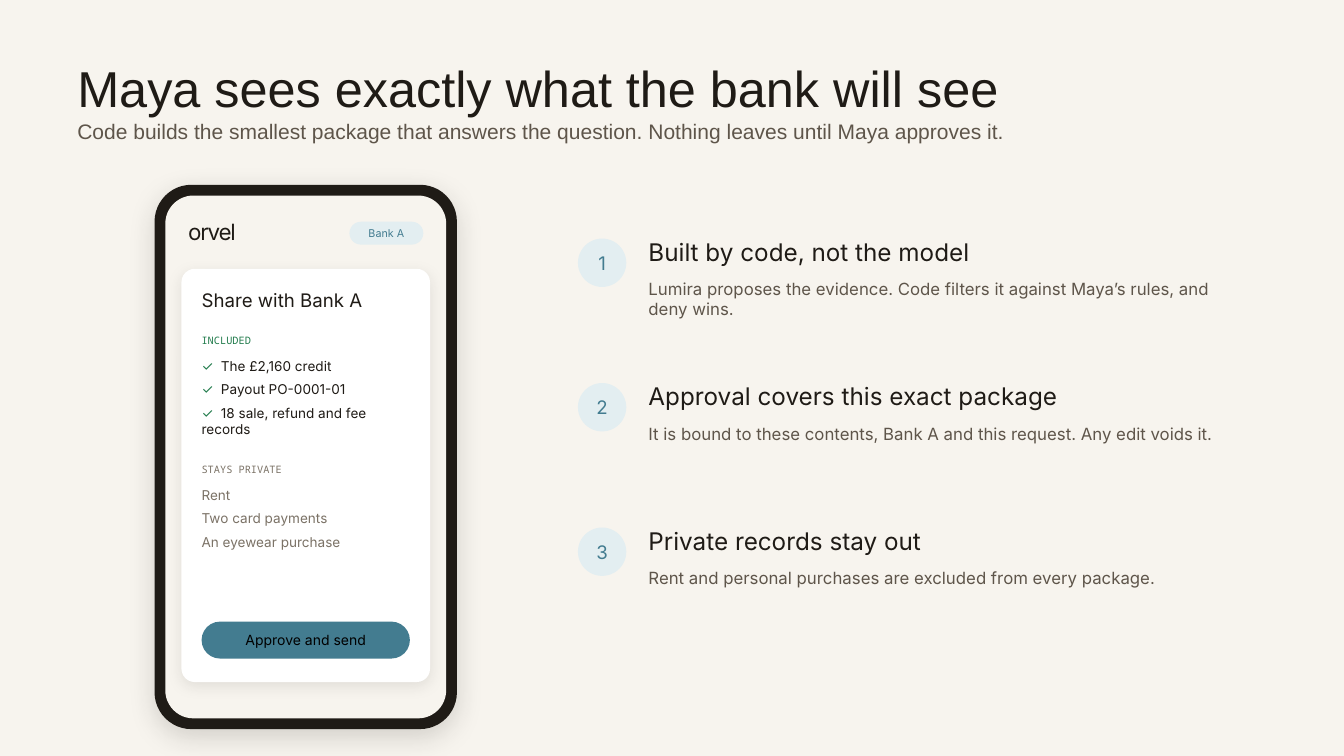
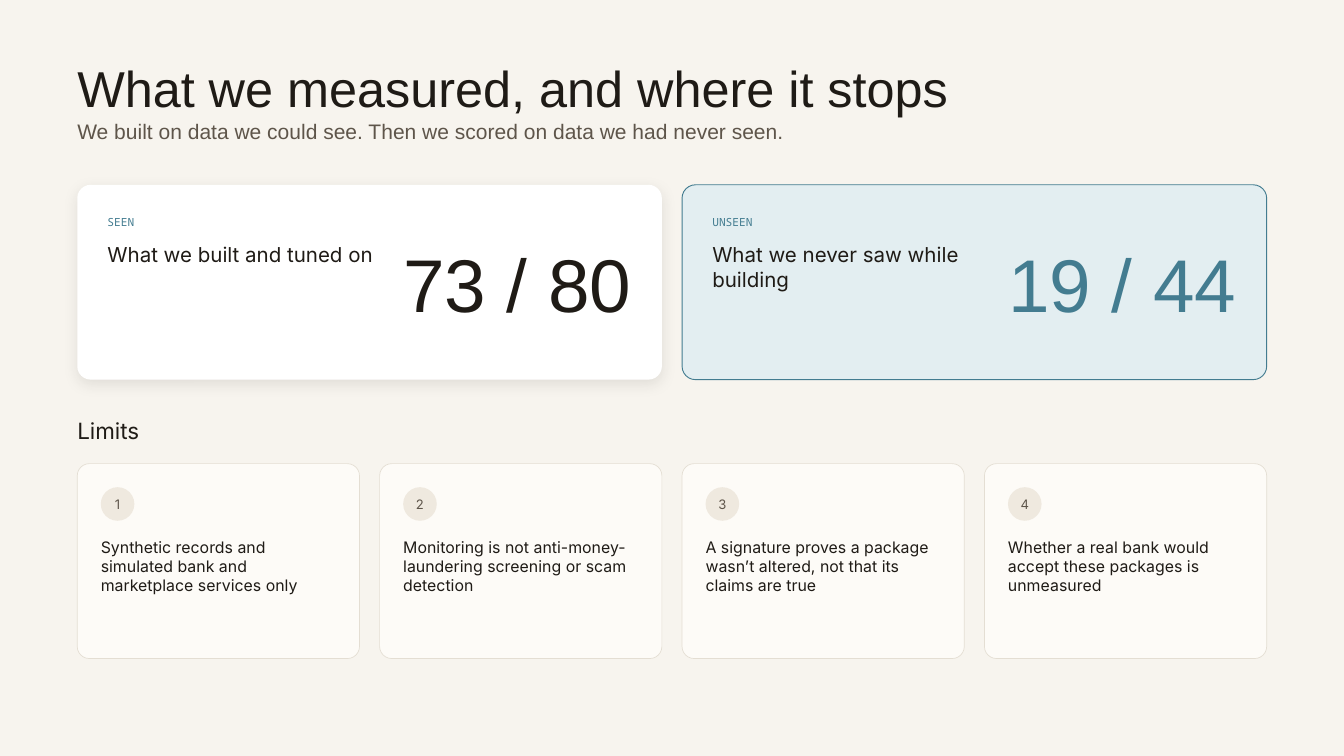
from lxml.etree import SubElement
from pptx import Presentation
from pptx.dml.color import RGBColor
from pptx.enum.shapes import MSO_SHAPE
from pptx.enum.text import MSO_ANCHOR, PP_ALIGN
from pptx.oxml.ns import qn
from pptx.util import Pt

# Content
APPROVAL = {
    "title": "Maya sees exactly what the bank will see",
    "subtitle": "Code builds the smallest package that answers the question. "
                "Nothing leaves until Maya approves it.",
    "app": "orvel",
    "recipient": "Bank A",
    "heading": "Share with Bank A",
    "included": ("INCLUDED", ["The £2,160 credit", "Payout PO-0001-01",
                              "18 sale, refund and fee records"]),
    "private": ("STAYS PRIVATE", ["Rent", "Two card payments", "An eyewear purchase"]),
    "button": "Approve and send",
    "reasons": [
        ("Built by code, not the model",
         "Lumira proposes the evidence. Code filters it against Maya’s rules, and deny wins."),
        ("Approval covers this exact package",
         "It is bound to these contents, Bank A and this request. Any edit voids it."),
        ("Private records stay out",
         "Rent and personal purchases are excluded from every package."),
    ],
}
RESULTS = {
    "title": "What we measured, and where it stops",
    "subtitle": "We built on data we could see. Then we scored on data we had never seen.",
    "scores": [
        ("SEEN", "What we built and tuned on", "73 / 80"),
        ("UNSEEN", "What we never saw while building", "19 / 44"),
    ],
    "limits_heading": "Limits",
    "limits": [
        "Synthetic records and simulated bank and marketplace services only",
        "Monitoring is not anti-money-laundering screening or scam detection",
        "A signature proves a package wasn’t altered, not that its claims are true",
        "Whether a real bank would accept these packages is unmeasured",
    ],
}


# Colours and type styles (font, size, colour)
class Theme:
    paper, card, white, black = "F7F4EE", "FDFBF7", "FFFFFF", "000000"
    ink, body, muted = "1F1B16", "5E554A", "7B7266"
    teal, ice, green = "437C90", "E3EEF1", "1F7A4A"
    border, sand = "E4DED3", "EFE9DF"
    sans, display, mono = "Inter", "Arial", "Noto Sans Mono"

    title = (display, 54, ink)
    subtitle = (display, 22.5, body)
    app = (sans, 24, ink)
    recipient = (sans, 11.5, teal)
    share_heading = (sans, 20, ink)
    included_label = (mono, 11, green)
    private_label = (mono, 11, muted)
    included_item = (sans, 14.5, ink)
    private_item = (sans, 14.5, muted)
    button = (sans, 15, black)
    reason_number = (sans, 20, teal)
    reason_heading = (sans, 26, ink)
    reason_text = (sans, 18, body)
    score_label = (mono, 12, teal)
    score_text = (sans, 22, ink)
    seen_score = (display, 80, ink)
    unseen_score = (display, 80, teal)
    limits_heading = (sans, 24, ink)
    limit_number = (sans, 14, body)
    limit_text = (sans, 17, ink)

    # Shadows: opacity %, blur, distance
    deep_shadow = (16, 28.8, 8.6)
    soft_shadow = (9, 15.8, 4.3)


# Shared layout, in points
SLIDE_W, SLIDE_H = 1440, 810
MARGIN, GAP = 82.8, 21.6
CONTENT_W = SLIDE_W - 2 * MARGIN
CONTENT_TOP = 198
CHECK_TAB = 20.8

FRAME = {"margin_left": 0, "margin_top": 0, "margin_right": 0, "margin_bottom": 0}


def apply(target, values):
    for key, value in values.items():
        setattr(target, key, value)


def points(box):
    return [Pt(length) for length in box]


def add_run(paragraph, words, style, colour=None):
    font_name, size, default_colour = style
    run = paragraph.add_run()
    run.text = words
    apply(run.font, {"name": font_name, "size": Pt(size)})
    run.font.color.rgb = RGBColor.from_string(colour or default_colour)
    return run


def write(frame, lines, style, wrap=True, anchor=MSO_ANCHOR.TOP,
          align=PP_ALIGN.LEFT, after=None, check=False):
    apply(frame, {**FRAME, "word_wrap": wrap, "vertical_anchor": anchor})
    for index, line in enumerate(lines):
        paragraph = frame.add_paragraph() if index else frame.paragraphs[0]
        paragraph.alignment = align
        if after:
            paragraph.space_after = Pt(after)
        if check:
            tabs = SubElement(paragraph._p.get_or_add_pPr(), qn("a:tabLst"))
            SubElement(tabs, qn("a:tab"), pos=str(int(Pt(CHECK_TAB))), algn="l")
            add_run(paragraph, "✓\t", style, Theme.green)
        run = add_run(paragraph, line, style)
    return run


def add_text(slide, box, lines, style, **options):
    lines = [lines] if isinstance(lines, str) else lines
    frame = slide.shapes.add_textbox(*points(box)).text_frame
    return write(frame, lines, style, **options)


def add_panel(slide, box, fill, corner=None, border=None, shadow=None, label=None):
    """Rounded panel, or an ellipse when no corner is given; label is (words, style)."""
    kind = MSO_SHAPE.OVAL if corner is None else MSO_SHAPE.ROUNDED_RECTANGLE
    panel = slide.shapes.add_shape(kind, *points(box))
    if corner is not None:
        panel.adjustments[0] = corner
    panel.fill.solid()
    panel.fill.fore_color.rgb = RGBColor.from_string(fill)
    if border:
        colour, width = border
        panel.line.color.rgb = RGBColor.from_string(colour)
        panel.line.width = Pt(width)
    else:
        panel.line.fill.background()
    panel.shadow.inherit = False
    if shadow:
        opacity, blur, distance = shadow
        effects = panel._element.spPr.find(qn("a:effectLst"))
        outer = SubElement(effects, qn("a:outerShdw"), blurRad=str(int(Pt(blur))),
                           dist=str(int(Pt(distance))), dir="5400000",
                           algn="ctr", rotWithShape="0")
        tint = SubElement(outer, qn("a:srgbClr"), val=Theme.ink)
        SubElement(tint, qn("a:alpha"), val=str(opacity * 1000))
    if label:
        words, style = label
        write(panel.text_frame, [words], style, wrap=False,
              anchor=MSO_ANCHOR.MIDDLE, align=PP_ALIGN.CENTER)


def columns(count):
    """Left edges and common width of equal columns across the content area."""
    width = (CONTENT_W - (count - 1) * GAP) / count
    return [MARGIN + i * (width + GAP) for i in range(count)], width


def start_slide(deck, content):
    slide = deck.slides.add_slide(deck.slide_layouts[6])
    slide.background.fill.solid()
    slide.background.fill.fore_color.rgb = RGBColor.from_string(Theme.paper)
    add_text(slide, (MARGIN, 61.2, CONTENT_W, 61.2), content["title"], Theme.title)
    add_text(slide, (MARGIN, 126.72, CONTENT_W, 32.4), content["subtitle"], Theme.subtitle)
    return slide


def add_phone(slide, content):
    # Phone body and screen
    left, top, width, height = 165.6, CONTENT_TOP, 324, 583.2
    bezel = 11.52
    add_panel(slide, (left, top, width, height), Theme.ink, 0.122, shadow=Theme.deep_shadow)
    add_panel(slide, (left + bezel, top + bezel, width - 2 * bezel, height - 2 * bezel),
              Theme.paper, 0.1)

    # App header
    app = add_text(slide, (201.6, 234, 144, 32.4), content["app"], Theme.app)
    app._r.get_or_add_rPr().set("spc", "-140")
    add_panel(slide, (374.4, 237.6, 79.2, 24.48), Theme.ice, 0.5,
              label=(content["recipient"], Theme.recipient))

    # Share card
    add_panel(slide, (194.4, 288, 266.4, 442.8), Theme.white, 0.054, shadow=Theme.soft_shadow)
    inner = 216
    add_text(slide, (inner, 309.6, 223.2, 32.4), content["heading"], Theme.share_heading)
    groups = [
        (content["included"], 358.56, 115.2, Theme.included_label, Theme.included_item, True),
        (content["private"], 496.8, 100.8, Theme.private_label, Theme.private_item, False),
    ]
    for (label, items), y, list_h, label_style, item_style, check in groups:
        add_text(slide, (inner, y, 144, 18), label, label_style)
        add_text(slide, (inner, y + 24.48, 230.4, list_h), items, item_style,
                 after=8, check=check)
    add_panel(slide, (inner, 666, 223.2, 39.6), Theme.teal, 0.5,
              label=(content["button"], Theme.button))


def add_reasons(slide, reasons):
    number_left, text_left, first_top, pitch, badge = 619.2, 694.8, 255.6, 154.8, 51.84
    for index, (heading, detail) in enumerate(reasons):
        top = first_top + index * pitch
        add_panel(slide, (number_left, top, badge, badge), Theme.ice,
                  label=(str(index + 1), Theme.reason_number))
        add_text(slide, (text_left, top - 1.44, 619.2, 36), heading, Theme.reason_heading)
        add_text(slide, (text_left, top + 43.2, 604.8, 64.8), detail, Theme.reason_text)


def add_scores(slide, scores):
    lefts, width = columns(len(scores))
    looks = [
        (Theme.seen_score, {"fill": Theme.white, "shadow": Theme.soft_shadow}),
        (Theme.unseen_score, {"fill": Theme.ice, "border": (Theme.teal, 1)}),
    ]
    top, pad = CONTENT_TOP, 32.4
    for left, (label, detail, score), (score_style, look) in zip(lefts, scores, looks):
        add_panel(slide, (left, top, width, 208.8), corner=0.069, **look)
        add_text(slide, (left + pad, top + pad, 273.6, 21.6), label, Theme.score_label)
        add_text(slide, (left + pad, top + 61.2, 309.6, 86.4), detail, Theme.score_text)
        add_text(slide, (left + width - pad - 244.8, top + 36, 244.8, 136.8), score,
                 score_style, anchor=MSO_ANCHOR.MIDDLE, align=PP_ALIGN.RIGHT)


def add_limits(slide, heading, limits):
    add_text(slide, (MARGIN, 446.4, 432, 36), heading, Theme.limits_heading)
    lefts, width = columns(len(limits))
    top, pad, badge = 496.8, 25.2, 36
    for number, (left, limit) in enumerate(zip(lefts, limits), 1):
        add_panel(slide, (left, top, width, 208.8), Theme.card, 0.062,
                  border=(Theme.border, 0.75))
        add_panel(slide, (left + pad, top + pad, badge, badge), Theme.sand,
                  label=(str(number), Theme.limit_number))
        add_text(slide, (left + pad, top + 79.2, width - 2 * pad, 115.2), limit,
                 Theme.limit_text)


def main():
    deck = Presentation()
    apply(deck, {"slide_width": Pt(SLIDE_W), "slide_height": Pt(SLIDE_H)})

    approval = start_slide(deck, APPROVAL)
    add_phone(approval, APPROVAL)
    add_reasons(approval, APPROVAL["reasons"])

    results = start_slide(deck, RESULTS)
    add_scores(results, RESULTS["scores"])
    add_limits(results, RESULTS["limits_heading"], RESULTS["limits"])

    deck.save("out.pptx")


if __name__ == "__main__":
    main()
